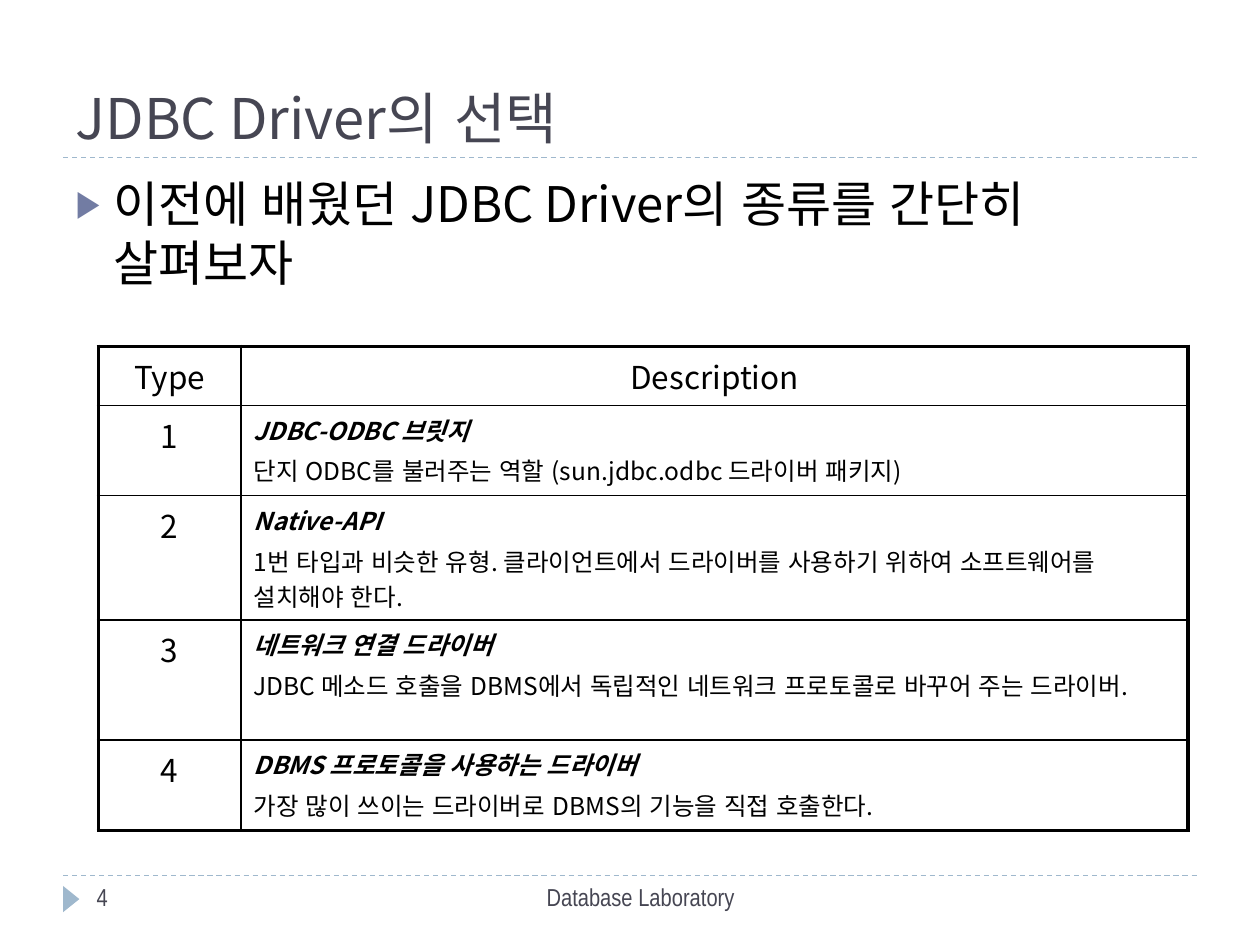
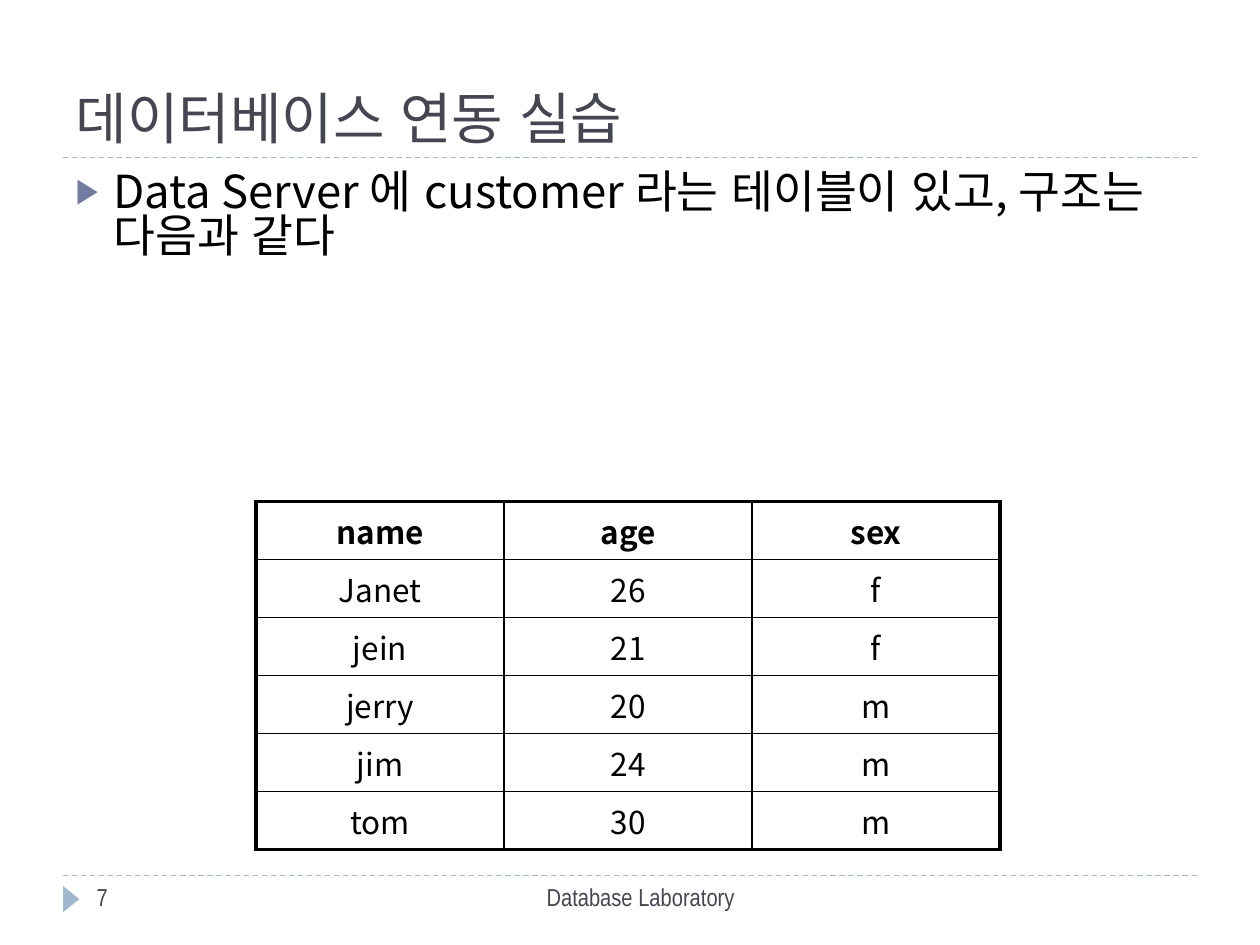
from lxml import etree
from pptx import Presentation
from pptx.dml.color import RGBColor
from pptx.enum.dml import MSO_LINE
from pptx.enum.lang import MSO_LANGUAGE_ID
from pptx.enum.shapes import MSO_CONNECTOR, MSO_SHAPE
from pptx.enum.text import MSO_ANCHOR, MSO_AUTO_SIZE, PP_ALIGN
from pptx.oxml.ns import qn
from pptx.util import Cm, Pt

DASH = MSO_LINE.DASH
KOREAN = MSO_LANGUAGE_ID.KOREAN
STRAIGHT = MSO_CONNECTOR.STRAIGHT
TRIANGLE = MSO_SHAPE.ISOSCELES_TRIANGLE
TOP, BOTTOM = MSO_ANCHOR.TOP, MSO_ANCHOR.BOTTOM
NO_AUTOFIT = MSO_AUTO_SIZE.NONE
LEFT, CENTER = PP_ALIGN.LEFT, PP_ALIGN.CENTER


def color(hex_string):
    return RGBColor.from_string(hex_string)


def add_element(parent, tag, **attributes):
    return etree.SubElement(parent, qn(tag), attributes)


class Deck:
    """Builds slides in one shared lecture style."""

    ink, title_ink = "000000", "464653"
    accent, bullet = "9FB8CD", "727CA3"
    text_font, footer_font = "Noto Sans CJK KR", "Arial Narrow"
    margin, content_width = 1.27, 22.86
    title_rule, footer_rule = 3.18, 17.65
    outer_border, inner_border = Pt(2.25), Pt(1)

    def __init__(self):
        self.presentation = Presentation()
        self.presentation.slide_width = Cm(25.4)
        self.presentation.slide_height = Cm(19.05)
        self.slide = None

    def new_slide(self, title, number):
        layout = self.presentation.slide_layouts[1]
        self.slide = self.presentation.slides.add_slide(layout)
        for rule in (self.footer_rule, self.title_rule):
            self.dashed_rule(rule)
        self.footer_marker()
        self.title(title)
        self.footer_text("Database Laboratory", 8.05, 9.73, CENTER)
        self.footer_text(number, 1.7, 5.51, LEFT)

    def style(self, paragraph, size, ink, name=text_font, bold=False, italic=False):
        font = paragraph.font
        font.size, font.bold, font.italic = Pt(size), bold, italic
        font.language_id = KOREAN
        font.color.rgb = color(ink)
        font.name = name
        properties = paragraph._p.pPr.find(qn("a:defRPr"))
        add_element(properties, "a:ea", typeface=name)

    def dashed_rule(self, top):
        right = self.margin + self.content_width
        connector = self.slide.shapes.add_connector(
            STRAIGHT, Cm(self.margin), Cm(top), Cm(right), Cm(top))
        connector.line.color.rgb = color(self.accent)
        connector.line.width = Pt(0.75)
        connector.line.dash_style = DASH
        add_element(connector._element.spPr, "a:effectLst")

    def footer_marker(self):
        marker = self.slide.shapes.add_shape(
            TRIANGLE, Cm(1.17), Cm(17.96), Cm(0.53), Cm(0.33))
        marker.rotation = 90
        marker.shadow.inherit = False
        marker.fill.solid()
        marker.fill.fore_color.rgb = color(self.accent)
        marker.line.fill.background()

    def footer_text(self, text, left, width, alignment):
        box = self.slide.shapes.add_textbox(
            Cm(left), Cm(self.footer_rule), Cm(width), Cm(1.02))
        box.text_frame.word_wrap = True
        paragraph = box.text_frame.paragraphs[0]
        paragraph.text = text
        paragraph.alignment = alignment
        self.style(paragraph, 14, self.title_ink, self.footer_font)

    def fill_placeholder(self, shape, text, top, height, anchor):
        shape.left, shape.width = Cm(self.margin), Cm(self.content_width)
        shape.top, shape.height = Cm(top), Cm(height)
        frame = shape.text_frame
        frame.text = text
        frame.auto_size = NO_AUTOFIT
        frame.vertical_anchor = anchor
        paragraph = frame.paragraphs[0]
        paragraph.alignment = LEFT
        paragraph.space_before = Pt(0)
        return paragraph

    def title(self, text):
        paragraph = self.fill_placeholder(
            self.slide.shapes.title, text, 0.43, 2.74, BOTTOM)
        self.style(paragraph, 32, self.title_ink)

    def body(self, text, height, size, line_spacing=1.0):
        paragraph = self.fill_placeholder(
            self.slide.placeholders[1], text, 3.38, height, TOP)
        paragraph.line_spacing = line_spacing
        properties = paragraph._p.get_or_add_pPr()
        properties.set("marL", str(Cm(0.76)))
        properties.set("indent", str(-Cm(0.76)))
        bullet_color = add_element(properties, "a:buClr")
        add_element(bullet_color, "a:srgbClr", val=self.bullet)
        add_element(properties, "a:buSzPct", val="76000")
        add_element(properties, "a:buChar", char="▶")
        self.style(paragraph, size, self.ink)

    def borders(self, cell, outer_sides):
        properties = cell._tc.get_or_add_tcPr()
        for side, is_outer in outer_sides.items():
            width = self.outer_border if is_outer else self.inner_border
            line = add_element(properties, f"a:ln{side}", w=str(width))
            fill = add_element(line, "a:solidFill")
            add_element(fill, "a:srgbClr", val=self.ink)

    def cell_text(self, cell, content, bold):
        if isinstance(content, str):
            cell.text = content
            paragraph = cell.text_frame.paragraphs[0]
            paragraph.alignment = CENTER
            self.style(paragraph, 18, self.ink, bold=bold)
            return
        cell.text = "\n".join(content)
        heading, description = cell.text_frame.paragraphs
        description.space_before = Pt(2.8)
        self.style(heading, 14, self.ink, bold=True, italic=True)
        self.style(description, 14, self.ink)

    def table(self, left, top, widths, heights, rows, bold_header=False):
        last_row, last_column = len(heights) - 1, len(widths) - 1
        table = self.slide.shapes.add_table(
            len(heights), len(widths), Cm(left), Cm(top),
            Cm(sum(widths)), Cm(sum(heights))).table
        table.first_row = table.horz_banding = False
        for column, width in zip(table.columns, widths):
            column.width = Cm(width)
        for r, (height, contents) in enumerate(zip(heights, rows)):
            table.rows[r].height = Cm(height)
            for c, content in enumerate(contents):
                cell = table.cell(r, c)
                self.borders(cell, {"L": c == 0, "R": c == last_column,
                                    "T": r == 0, "B": r == last_row})
                cell.fill.background()
                self.cell_text(cell, content, bold_header and r == 0)


def main():
    deck = Deck()

    deck.new_slide("JDBC Driver의 선택", "4")
    deck.body("이전에 배웠던 JDBC Driver의 종류를 간단히 살펴보자", 2.77, 28)
    driver_types = [
        ("Type", "Description"),
        ("1", ("JDBC-ODBC 브릿지",
               "단지 ODBC를 불러주는 역할 (sun.jdbc.odbc 드라이버 패키지)")),
        ("2", ("Native-API",
               "1번 타입과 비슷한 유형. 클라이언트에서 드라이버를 사용하기 위하여 "
               "소프트웨어를 설치해야 한다.")),
        ("3", ("네트워크 연결 드라이버",
               "JDBC 메소드 호출을 DBMS에서 독립적인 네트워크 프로토콜로 "
               "바꾸어 주는 드라이버.")),
        ("4", ("DBMS 프로토콜을 사용하는 드라이버",
               "가장 많이 쓰이는 드라이버로 DBMS의 기능을 직접 호출한다.")),
    ]
    deck.table(1.98, 6.98, [2.88, 19.09], [1.19, 1.82, 2.51, 2.42, 1.82],
               driver_types)

    deck.new_slide("데이터베이스 연동 실습", "7")
    deck.body("Data Server 에 customer 라는 테이블이 있고, 구조는 다음과 같다",
              13.72, 26, 0.8)
    customers = [
        ("name", "age", "sex"),
        ("Janet", "26", "f"),
        ("jein", "21", "f"),
        ("jerry", "20", "m"),
        ("jim", "24", "m"),
        ("tom", "30", "m"),
    ]
    deck.table(5.16, 10.11, [5] * 3, [1.17] * len(customers), customers,
               bold_header=True)

    deck.presentation.save("out.pptx")


if __name__ == "__main__":
    main()
